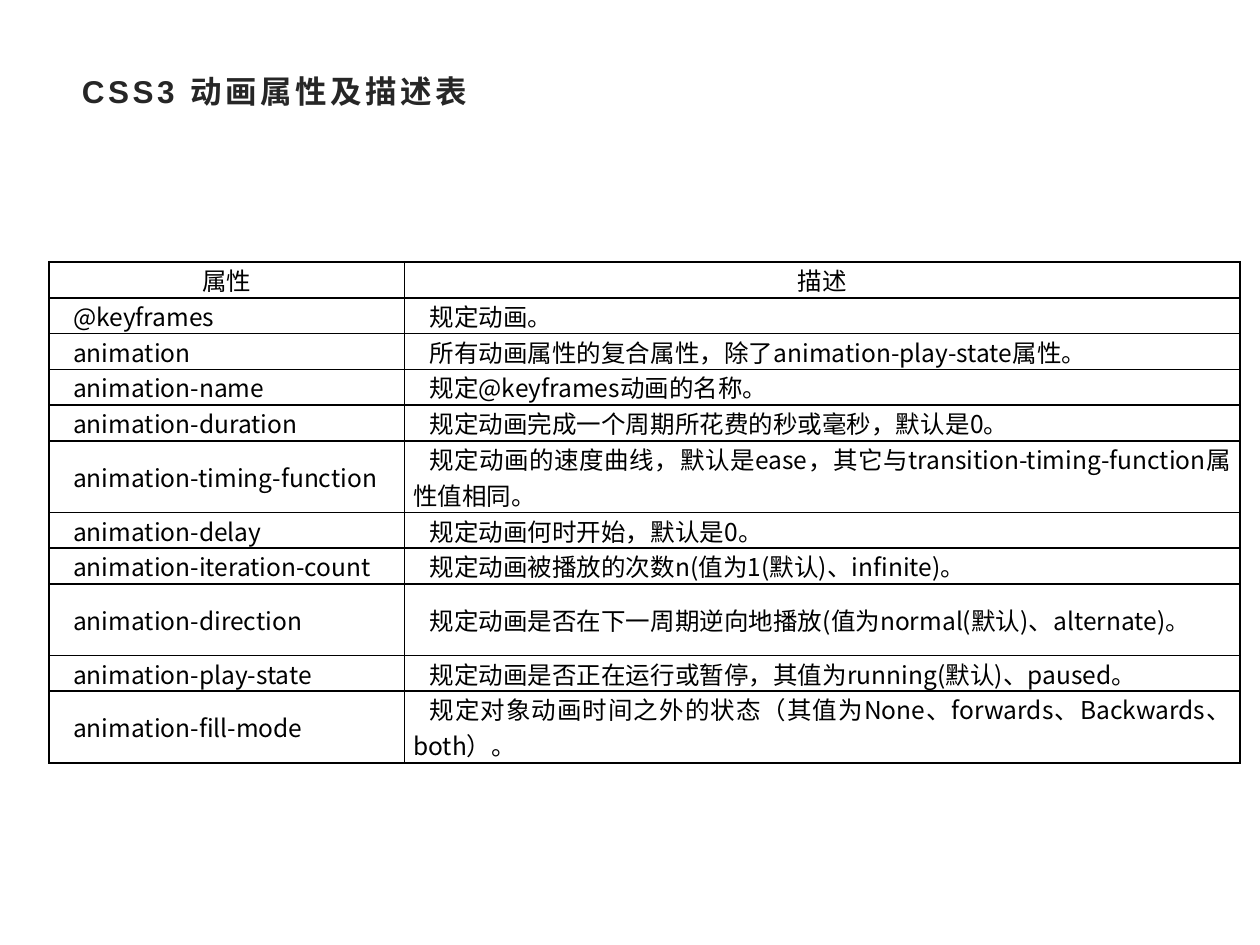
"""Build a slide with a table of CSS3 animation properties."""
from lxml import etree
from pptx import Presentation
from pptx.dml.color import RGBColor
from pptx.enum.text import MSO_ANCHOR, PP_ALIGN
from pptx.oxml.ns import qn
from pptx.util import Inches, Pt

LEFT, CENTER, JUSTIFY = PP_ALIGN.LEFT, PP_ALIGN.CENTER, PP_ALIGN.JUSTIFY
MIDDLE = MSO_ANCHOR.MIDDLE

TITLE = "CSS3 动画属性及描述表"
HEADER = ("属性", "描述")
PROPERTIES = [
    ("@keyframes", "规定动画。"),
    ("animation", "所有动画属性的复合属性，除了animation-play-state属性。"),
    ("animation-name", "规定@keyframes动画的名称。"),
    ("animation-duration", "规定动画完成一个周期所花费的秒或毫秒，默认是0。"),
    ("animation-timing-function",
     "规定动画的速度曲线，默认是ease，其它与transition-timing-function属性值相同。"),
    ("animation-delay", "规定动画何时开始，默认是0。"),
    ("animation-iteration-count", "规定动画被播放的次数n(值为1(默认)、infinite)。"),
    ("animation-direction",
     "规定动画是否在下一周期逆向地播放(值为normal(默认)、alternate)。"),
    ("animation-play-state", "规定动画是否正在运行或暂停，其值为running(默认)、paused。"),
    ("animation-fill-mode",
     "规定对象动画时间之外的状态（其值为None、forwards、Backwards、both）。"),
]
TWO_LINE = {"animation-timing-function", "animation-direction", "animation-fill-mode"}
COLORS = {"title": "262626", "text": "000000", "border": "000000"}
LATIN, CJK = "Arial", "Noto Sans CJK SC"
COL_WIDTHS = (2.82, 6.63)
INDENTS = (0.12, 0.13)
LINE_H, TWO_LINE_H = 0.28, 0.55
THIN, THICK = 1, 1.5


def write(tf, text, size, color, font, align, bold=False, spacing=0, indent=0):
    p = tf.paragraphs[0]
    p.alignment = align
    pPr = p._p.get_or_add_pPr()
    pPr.set("marL", "0")
    pPr.set("indent", str(Inches(indent)))
    r = p.add_run()
    r.text = text
    r.font.size, r.font.bold, r.font.name = Pt(size), bold, font
    r.font.color.rgb = RGBColor.from_string(color)
    rPr = r._r.get_or_add_rPr()
    if spacing:
        rPr.set("spc", str(spacing * 100))
    etree.SubElement(rPr, qn("a:ea")).set("typeface", CJK)


def set_borders(cell, top, bottom):
    tcPr = cell._tc.get_or_add_tcPr()
    for side, width in (("L", THIN), ("R", THIN), ("T", top), ("B", bottom)):
        ln = etree.SubElement(tcPr, qn(f"a:ln{side}"), w=str(Pt(width)))
        fill = etree.SubElement(ln, qn("a:solidFill"))
        etree.SubElement(fill, qn("a:srgbClr"), val=COLORS["border"])


def add_title(s):
    sp = s.shapes.title
    sp.left, sp.top, sp.width, sp.height = map(Inches, (0.55, 0.48, 8.9, 0.48))
    tf = sp.text_frame
    tf.word_wrap, tf.vertical_anchor = True, MIDDLE
    write(tf, TITLE, 18, COLORS["title"], LATIN, LEFT, bold=True, spacing=2)


def add_property_table(s):
    rows = [HEADER] + PROPERTIES
    heights = [TWO_LINE_H if name in TWO_LINE else LINE_H for name, _ in rows]
    table = s.shapes.add_table(
        len(rows), len(HEADER), Inches(0.39), Inches(2.08),
        Inches(sum(COL_WIDTHS)), Inches(sum(heights))).table
    table.first_row = table.horz_banding = False
    for col, width in zip(table.columns, COL_WIDTHS):
        col.width = Inches(width)
    last = len(rows) - 1
    for i, (row, height) in enumerate(zip(rows, heights)):
        table.rows[i].height = Inches(height)
        top = THICK if i <= 1 else THIN
        bottom = THICK if i in (0, last) else THIN
        for j, text in enumerate(row):
            cell = table.cell(i, j)
            cell.vertical_anchor = MIDDLE
            cell.margin_left = cell.margin_right = Inches(0.07)
            cell.margin_top = cell.margin_bottom = 0
            set_borders(cell, top, bottom)
            cell.fill.background()
            write(cell.text_frame, text, 14, COLORS["text"], CJK,
                  JUSTIFY if i else CENTER, indent=INDENTS[j] if i else 0)


def main():
    prs = Presentation()
    prs.slide_width, prs.slide_height = Inches(10), Inches(7.5)
    s = prs.slides.add_slide(prs.slide_layouts[5])
    add_title(s)
    add_property_table(s)
    prs.save("out.pptx")


if __name__ == "__main__":
    main()
